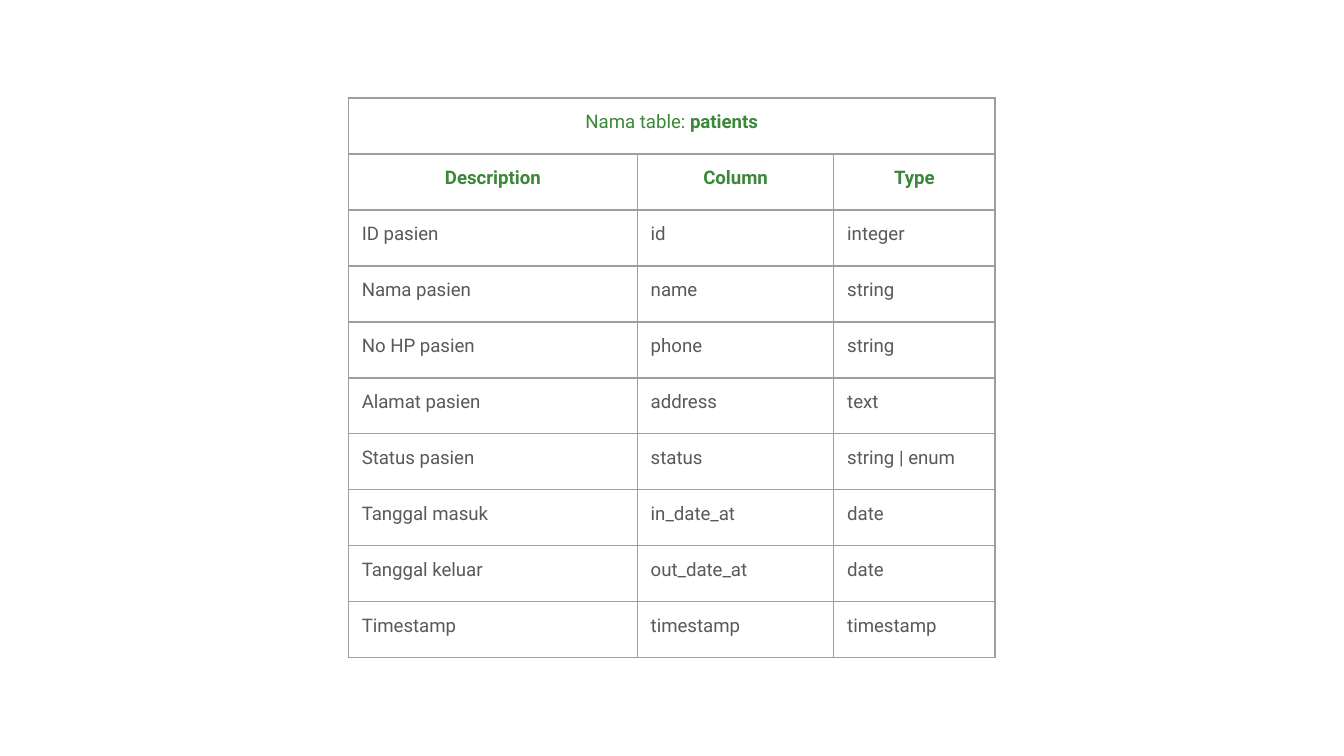
from dataclasses import dataclass

import pptx
import pptx.dml.color
import pptx.enum.text
import pptx.oxml
import pptx.oxml.ns
import pptx.util

EMU_PER_PX = 3810  # 240 px to the inch
GREEN, GREY, BORDER, WHITE = "3C873A", "595959", "9E9E9E", "FFFFFF"
FONT, FONT_PT, BORDER_PT = "Roboto", 10, 0.75
LEFT, TOP, ROW_HEIGHT, INSET = 622, 175, 100, 24


@dataclass(frozen=True)
class Column:
    heading: str
    width: int


@dataclass(frozen=True)
class Field:
    description: str
    column: str
    type: str


COLUMNS = [Column("Description", 516), Column("Column", 351), Column("Type", 288)]
FIELDS = [
    Field("ID pasien", "id", "integer"),
    Field("Nama pasien", "name", "string"),
    Field("No HP pasien", "phone", "string"),
    Field("Alamat pasien", "address", "text"),
    Field("Status pasien", "status", "string | enum"),
    Field("Tanggal masuk", "in_date_at", "date"),
    Field("Tanggal keluar", "out_date_at", "date"),
    Field("Timestamp", "timestamp", "timestamp"),
]


def px(n: int) -> pptx.util.Emu:
    return pptx.util.Emu(n * EMU_PER_PX)


def rgb(value: str) -> pptx.dml.color.RGBColor:
    return pptx.dml.color.RGBColor.from_string(value)


def add_borders(cell) -> None:
    """Line all four sides; the lines must precede the fill in tcPr."""
    tc_pr = cell._tc.get_or_add_tcPr()
    for i, side in enumerate(("lnL", "lnR", "lnT", "lnB")):
        line = pptx.oxml.parse_xml(
            f'<a:{side} {pptx.oxml.ns.nsdecls("a")} w="{pptx.util.Pt(BORDER_PT)}">'
            f'<a:solidFill><a:srgbClr val="{BORDER}"/></a:solidFill></a:{side}>'
        )
        tc_pr.insert(i, line)


def format_cell(cell) -> None:
    cell.margin_left = cell.margin_right = px(INSET)
    cell.margin_top = cell.margin_bottom = px(INSET)
    cell.fill.background()
    add_borders(cell)


def write_cell(cell, text: str, color: str, bold: bool = False, centered: bool = False):
    p = cell.text_frame.paragraphs[0]
    p.add_run().text = text
    p.font.name = FONT
    p.font.size = pptx.util.Pt(FONT_PT)
    p.font.bold = bold
    p.font.color.rgb = rgb(color)
    align = pptx.enum.text.PP_ALIGN
    p.alignment = align.CENTER if centered else align.LEFT
    return p


def add_schema_table(s, name: str) -> None:
    row_count = len(FIELDS) + 2
    width = sum(column.width for column in COLUMNS)
    table = s.shapes.add_table(
        row_count, len(COLUMNS), px(LEFT), px(TOP), px(width), px(ROW_HEIGHT * row_count)
    ).table
    table.first_row = table.horz_banding = False
    for row in table.rows:
        row.height = px(ROW_HEIGHT)
    for cell in table.iter_cells():
        format_cell(cell)

    title = table.cell(0, 0)
    title.merge(table.cell(0, len(COLUMNS) - 1))
    p = write_cell(title, "Nama table: ", GREEN, centered=True)
    r = p.add_run()
    r.text = name
    r.font.bold = True

    for i, column in enumerate(COLUMNS):
        table.columns[i].width = px(column.width)
        write_cell(table.cell(1, i), column.heading, GREEN, bold=True, centered=True)
    for row, field in enumerate(FIELDS, start=2):
        for i, text in enumerate((field.description, field.column, field.type)):
            write_cell(table.cell(row, i), text, GREY)


def main() -> None:
    prs = pptx.Presentation()
    prs.slide_width, prs.slide_height = px(2400), px(1350)
    s = prs.slides.add_slide(prs.slide_layouts[6])
    s.background.fill.solid()
    s.background.fill.fore_color.rgb = rgb(WHITE)
    add_schema_table(s, "patients")
    prs.save("out.pptx")


if __name__ == "__main__":
    main()
